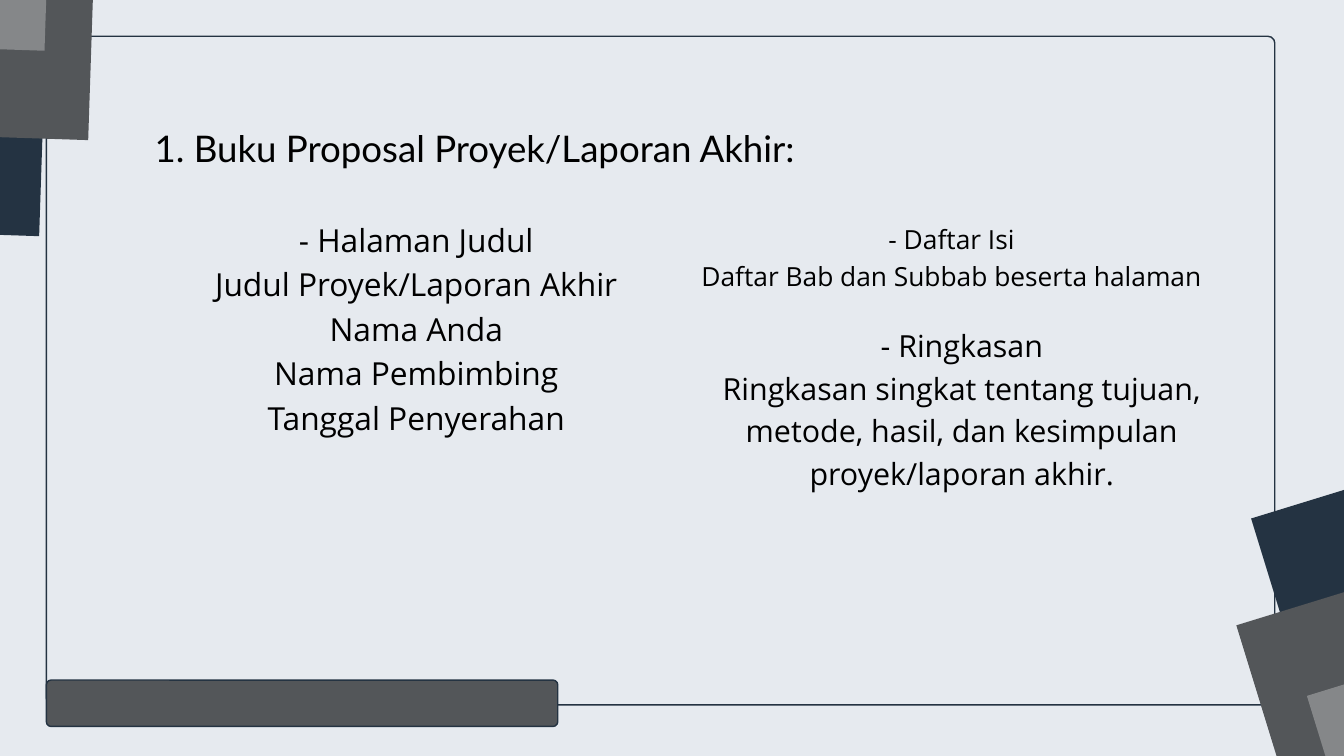
from pptx import Presentation
from pptx.dml.color import RGBColor
from pptx.enum.shapes import MSO_SHAPE
from pptx.enum.text import PP_ALIGN
from pptx.util import Inches, Pt

RECTANGLE = MSO_SHAPE.RECTANGLE
ROUNDED = MSO_SHAPE.ROUNDED_RECTANGLE
CENTER = PP_ALIGN.CENTER

PALE, NAVY, DARK_GRAY, GRAY, BLACK = "E6EAEF", "243342", "535659", "858789", "000000"
TILE_WIDTH, TILE_HEIGHT = 6.07, 6.1


def color(hex_value):
    return RGBColor.from_string(hex_value)


def add_block(slide, preset, left, top, width, height, fill):
    block = slide.shapes.add_shape(
        preset, Inches(left), Inches(top), Inches(width), Inches(height))
    block.shadow.inherit = False
    block.fill.solid()
    block.fill.fore_color.rgb = color(fill)
    block.line.fill.background()
    return block


def add_rounded_panel(slide, left, top, width, height, fill, radius):
    panel = add_block(slide, ROUNDED, left, top, width, height, fill)
    panel.adjustments[0] = radius / min(width, height)
    panel.line.color.rgb = color(NAVY)
    panel.line.width = Pt(1.5)


def add_tilted_tiles(slide, angle, corners):
    for (left, top), fill in zip(corners, (NAVY, DARK_GRAY, GRAY)):
        tile = add_block(slide, RECTANGLE, left, top, TILE_WIDTH, TILE_HEIGHT, fill)
        tile.rotation = angle


def add_text(slide, left, top, width, height, lines, size, spacing, font="Open Sans"):
    box = slide.shapes.add_textbox(
        Inches(left), Inches(top), Inches(width), Inches(height))
    frame = box.text_frame
    frame.word_wrap = True
    frame.margin_left = frame.margin_right = 0
    frame.margin_top = frame.margin_bottom = 0
    frame.text = "\n".join(lines)
    for paragraph in frame.paragraphs:
        paragraph.alignment = CENTER
        paragraph.line_spacing = Pt(spacing)
        paragraph.font.name = font
        paragraph.font.size = Pt(size)
        paragraph.font.color.rgb = color(BLACK)


def main():
    prs = Presentation()
    prs.slide_width, prs.slide_height = Inches(20), Inches(11.25)
    slide = prs.slides.add_slide(prs.slide_layouts[6])
    slide.background.fill.solid()
    slide.background.fill.fore_color.rgb = color(PALE)

    # Frame and corner decorations
    add_rounded_panel(slide, 0.69, 0.54, 18.28, 9.95, PALE, 0.1)
    add_tilted_tiles(slide, 271.9, [(-5.4, -2.67), (-4.67, -4.1), (-5.32, -5.43)])
    add_tilted_tiles(slide, 72.9, [(19.39, 6.67), (19.17, 8.26), (20.22, 9.31)])

    # Heading and bottom bar
    add_text(slide, 1.82, 2.02, 10.49, 1.24,
             ["1. Buku Proposal Proyek/Laporan Akhir:"], 39.3, 36.2, "Lato")
    add_rounded_panel(slide, 0.69, 10.12, 7.61, 0.69, DARK_GRAY, 0.07)

    # Title page contents
    add_text(slide, 2.56, 3.19, 7.27, 3.26,
             ["- Halaman Judul", "Judul Proyek/Laporan Akhir", "Nama Anda",
              "Nama Pembimbing", "Tanggal Penyerahan"], 34, 47.6)

    # Table of contents and summary
    add_text(slide, 10.38, 3.25, 7.56, 1.61,
             ["- Daftar Isi", "Daftar Bab dan Subbab beserta halaman"], 28.2, 39.5)
    add_text(slide, 10.69, 4.78, 7.25, 3.76,
             ["- Ringkasan",
              "Ringkasan singkat tentang tujuan, metode, hasil, dan kesimpulan "
              "proyek/laporan akhir."], 32.6, 45.6)

    prs.save("out.pptx")


if __name__ == "__main__":
    main()
